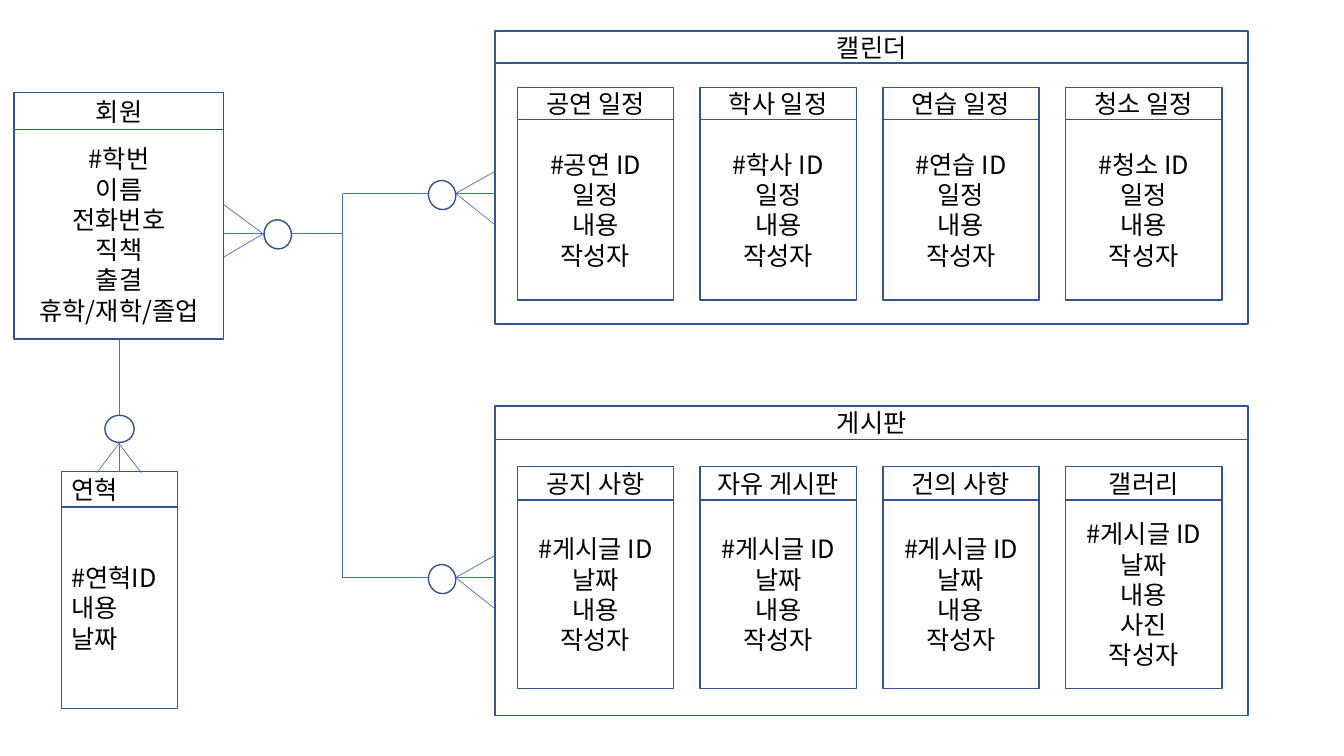
from lxml.etree import SubElement
from pptx import Presentation
from pptx.dml.color import RGBColor
from pptx.enum.shapes import MSO_CONNECTOR, MSO_SHAPE
from pptx.enum.text import MSO_ANCHOR, PP_ALIGN
from pptx.oxml.ns import qn
from pptx.util import Inches, Pt

FONT = "Noto Sans CJK KR"
BORDER, LINK, WHITE, BLACK = "325491", "4472C4", "FFFFFF", "000000"

# Right-hand panels and their columns of cards
PANEL_X, PANEL_W = 4.91, 7.47
CARD_X, CARD_W, CARD_PITCH = 5.13, 1.55, 1.813

# Relationship lines
MEMBER_RIGHT, MEMBER_BOTTOM = 2.22, 3.37
TRUNK_X, HISTORY_X = 3.4, 1.18
MEMBER_Y, CALENDAR_Y, BOARD_Y = 2.32, 1.92, 5.73
FOOT = 0.39

CALENDAR = [
    ("공연 일정", ["#공연 ID", "일정", "내용", "작성자"]),
    ("학사 일정", ["#학사 ID", "일정", "내용", "작성자"]),
    ("연습 일정", ["#연습 ID", "일정", "내용", "작성자"]),
    ("청소 일정", ["#청소 ID", "일정", "내용", "작성자"]),
]
POST = ["#게시글 ID", "날짜", "내용", "작성자"]
BOARD = [
    ("공지 사항", POST),
    ("자유 게시판", POST),
    ("건의 사항", POST),
    ("갤러리", ["#게시글 ID", "날짜", "내용", "사진", "작성자"]),
]


def color(value):
    """Turn a hex string into a colour."""
    return RGBColor.from_string(value)


def write(sp, lines, size=18, font=FONT, ink=BLACK, align=PP_ALIGN.CENTER):
    """Write one paragraph per line, centred vertically in the shape."""
    tf = sp.text_frame
    tf.word_wrap = True
    tf.vertical_anchor = MSO_ANCHOR.MIDDLE
    for i, line in enumerate(lines):
        p = tf.add_paragraph() if i else tf.paragraphs[0]
        p.alignment = align
        r = p.add_run()
        r.text = line
        r.font.size, r.font.name = Pt(size), font
        r.font.color.rgb = color(ink)
        SubElement(r._r.get_or_add_rPr(), qn("a:ea"), typeface=font)


def outline(s, kind, x, y, w, h, fill=None):
    """Add an outlined preset shape with an optional fill."""
    sp = s.shapes.add_shape(kind, Inches(x), Inches(y), Inches(w), Inches(h))
    sp.shadow.inherit = False
    sp.line.color.rgb = color(BORDER)
    sp.line.width = Pt(1)
    if fill:
        sp.fill.solid()
        sp.fill.fore_color.rgb = color(fill)
    else:
        sp.fill.background()
    return sp


def entity(s, x, y, w, head_h, body_h, name, fields=(), align=PP_ALIGN.CENTER):
    """Draw a name bar with a box of fields directly below it."""
    head = outline(s, MSO_SHAPE.RECTANGLE, x, y, w, head_h)
    write(head, [name], align=align)
    body = outline(s, MSO_SHAPE.RECTANGLE, x, y + head_h, w, body_h)
    if fields:
        write(body, fields, align=align)


def panel(s, y, head_h, body_h, name, card_y, card_h, cards):
    """Draw a group panel holding a row of evenly spaced entities."""
    entity(s, PANEL_X, y, PANEL_W, head_h, body_h, name)
    for i, (title, fields) in enumerate(cards):
        entity(s, CARD_X + i * CARD_PITCH, card_y, CARD_W, head_h, card_h,
               title, fields)


def link(s, x1, y1, x2, y2):
    """Draw a thin straight relationship line."""
    c = s.shapes.add_connector(MSO_CONNECTOR.STRAIGHT, Inches(x1), Inches(y1),
                               Inches(x2), Inches(y2))
    c.line.color.rgb = color(LINK)
    c.line.width = Pt(0.5)
    SubElement(c._element.spPr, qn("a:effectLst"))


def crow_foot(s, tip, toes, ring, rotation=0):
    """Draw the two outer toes from the tip, and the optional-end ring."""
    for toe in toes:
        link(s, *tip, *toe)
    sp = outline(s, MSO_SHAPE.OVAL, *ring, 0.29, 0.27, fill=WHITE)
    sp.rotation = rotation


def main():
    """Build the entity relationship slide."""
    prs = Presentation()
    prs.slide_width, prs.slide_height = Inches(13.33), Inches(7.5)
    s = prs.slides.add_slide(prs.slide_layouts[6])

    entity(s, 0.14, 0.92, 2.08, 0.365, 2.08, "회원",
           ["#학번", "이름", "전화번호", "직책", "출결", "휴학/재학/졸업"])
    entity(s, 0.61, 4.68, 1.15, 0.35, 2, "연혁",
           ["#연혁ID", "내용", "날짜"], align=PP_ALIGN.LEFT)
    panel(s, 0.31, 0.315, 2.59, "캘린더", 0.87, 1.79, CALENDAR)
    panel(s, 4.03, 0.33, 2.74, "게시판", 4.63, 1.87, BOARD)

    link(s, MEMBER_RIGHT, MEMBER_Y, TRUNK_X, MEMBER_Y)
    link(s, TRUNK_X, CALENDAR_Y, TRUNK_X, BOARD_Y)
    link(s, HISTORY_X, MEMBER_BOTTOM, HISTORY_X, 4.68)

    for y in (CALENDAR_Y, BOARD_Y):
        link(s, PANEL_X, y, TRUNK_X, y)
        crow_foot(s, (PANEL_X - FOOT, y),
                  [(PANEL_X, y - 0.22), (PANEL_X, y + 0.31)],
                  (4.24, y - 0.12), rotation=253.6)
    crow_foot(s, (MEMBER_RIGHT + FOOT, MEMBER_Y),
              [(MEMBER_RIGHT, 2.03), (MEMBER_RIGHT, 2.55)],
              (2.61, 2.19), rotation=253.6)
    crow_foot(s, (HISTORY_X, 4.4),
              [(HISTORY_X - 0.22, 4.69), (HISTORY_X + 0.22, 4.69)],
              (1.04, 4.12))

    prs.save("out.pptx")


main()
